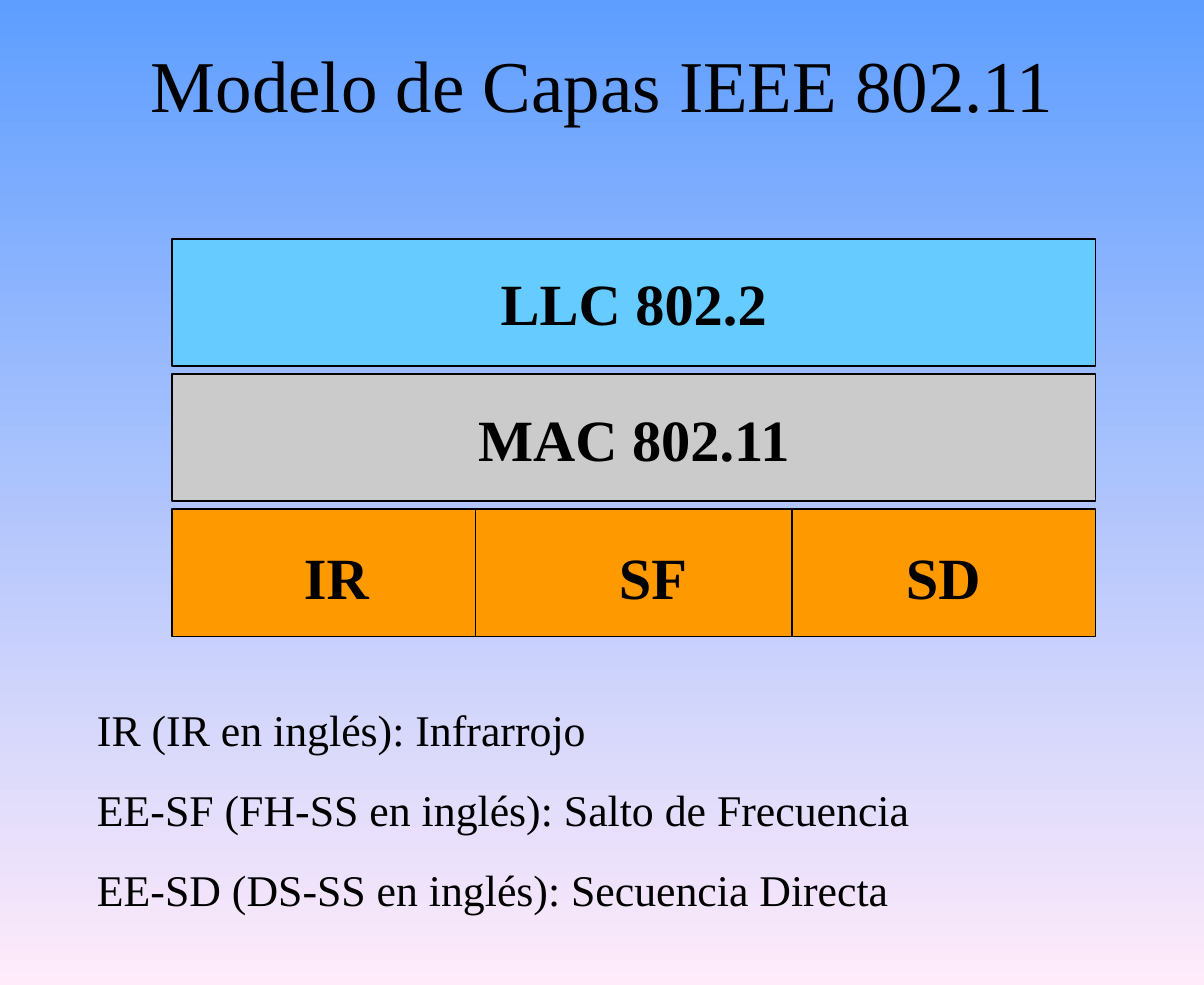
from typing import NamedTuple

from lxml import etree
from pptx import Presentation
from pptx import util as u
from pptx.dml.color import RGBColor
from pptx.enum import shapes, text
from pptx.oxml.ns import qn

WIDTH, HEIGHT = u.Emu(8380413), u.Emu(6858000)
FONT = "Times New Roman"
BLACK = "000000"
STACK_LEFT, STACK_TOP, STACK_WIDTH = 14.29, 24.25, 76.71
ROW_HEIGHT, ROW_PITCH = 12.92, 13.73


class Area(NamedTuple):
    """Rectangle in percent of the slide's width and height."""
    left: float
    top: float
    width: float
    height: float


class Layer(NamedTuple):
    name: str
    fill: str


LAYERS = [Layer("LLC 802.2", "66CCFF"), Layer("MAC 802.11", "CBCBCB"), Layer("", "FF9900")]
DIVIDERS = [39.5, 65.8]
MEDIA = {"IR": 19.53, "SF": 45.83, "SD": 69.94}
LEGEND = [
    "IR (IR en inglés): Infrarrojo",
    "EE-SF (FH-SS en inglés): Salto de Frecuencia",
    "EE-SD (DS-SS en inglés): Secuencia Directa",
]


def across(share: float) -> u.Emu:
    return u.Emu(round(WIDTH * share / 100))


def down(share: float) -> u.Emu:
    return u.Emu(round(HEIGHT * share / 100))


def place(area: Area) -> tuple:
    return across(area.left), down(area.top), across(area.width), down(area.height)


def color(code: str) -> RGBColor:
    return RGBColor.from_string(code)


def write(box, *lines: str, size: float, bold: bool = False, centered: bool = True,
          middle: bool = False, wrap: bool = True, gap: float = 0) -> None:
    frame = box.text_frame
    frame.word_wrap = wrap
    frame.vertical_anchor = text.MSO_ANCHOR.MIDDLE if middle else text.MSO_ANCHOR.TOP
    for index, line in enumerate(lines):
        para = frame.add_paragraph() if index else frame.paragraphs[0]
        para.alignment = text.PP_ALIGN.CENTER if centered else text.PP_ALIGN.LEFT
        if index:
            para.space_before = u.Pt(gap)
        span = para.add_run()
        span.text = line
        span.font.name, span.font.size, span.font.bold = FONT, u.Pt(size), bold
        span.font.color.rgb = color(BLACK)


def outline(item) -> None:
    item.line.color.rgb = color(BLACK)
    item.line.width = u.Pt(1)


def add_layer(page, layer: Layer, row: int) -> None:
    area = Area(STACK_LEFT, STACK_TOP + row * ROW_PITCH, STACK_WIDTH, ROW_HEIGHT)
    box = page.shapes.add_shape(shapes.MSO_SHAPE.RECTANGLE, *place(area))
    box.shadow.inherit = False
    box.fill.solid()
    box.fill.fore_color.rgb = color(layer.fill)
    outline(box)
    if layer.name:
        write(box, layer.name, size=32, bold=True, middle=True, wrap=False)


def add_divider(page, share: float, top: float) -> None:
    line = page.shapes.add_connector(shapes.MSO_CONNECTOR.STRAIGHT, across(share), down(top),
                                     across(share), down(top + ROW_HEIGHT))
    outline(line)
    etree.SubElement(line._element.spPr, qn("a:effectLst"))


def paint_background(page) -> None:
    fill = page.background.fill
    fill.gradient()
    fill.gradient_angle = 270
    for stop, code in zip(fill.gradient_stops, ["5E9EFF", "FFEBFA"]):
        stop.color.rgb = color(code)


def main() -> None:
    """Build the slide of the IEEE 802.11 layer model."""
    deck = Presentation()
    deck.slide_width, deck.slide_height = WIDTH, HEIGHT
    page = deck.slides.add_slide(deck.slide_layouts[6])
    paint_background(page)
    title = page.shapes.add_textbox(*place(Area(0, 0.13, 100, 16.67)))
    write(title, "Modelo de Capas IEEE 802.11", size=40, middle=True)
    for row, layer in enumerate(LAYERS):
        add_layer(page, layer, row)
    media_top = STACK_TOP + 2 * ROW_PITCH
    for share in DIVIDERS:
        add_divider(page, share, media_top)
    for name, left in MEDIA.items():
        box = page.shapes.add_textbox(*place(Area(left, media_top + 2.55, 16.8, 8.53)))
        write(box, name, size=32, bold=True)
    legend = page.shapes.add_textbox(*place(Area(6.98, 70.67, 88.16, 22.93)))
    write(legend, *LEGEND, size=24, centered=False, gap=15)
    deck.save("out.pptx")


if __name__ == "__main__":
    main()
